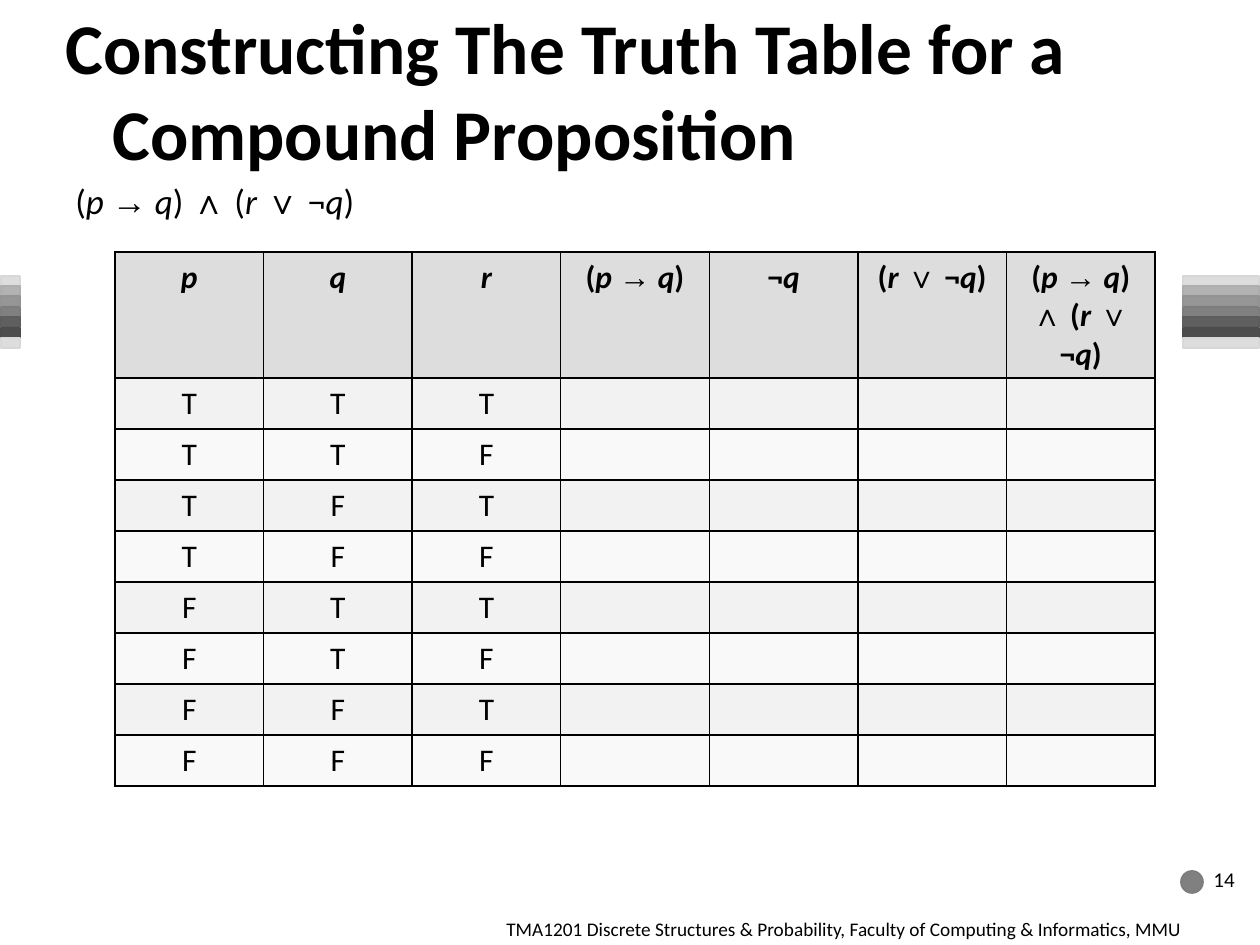
from itertools import groupby, product
from lxml.etree import SubElement as Sub
from pptx import Presentation
from pptx.dml.color import RGBColor as RGB
from pptx.enum.shapes import MSO_SHAPE as Kind
from pptx.enum.text import MSO_ANCHOR as Anchor, PP_ALIGN as Align
from pptx.oxml.ns import qn
from pptx.util import Pt

PX = 914400 / 126
BLACK = RGB(0, 0, 0)
HEAD = RGB(0xDD, 0xDD, 0xDD)
ODD = RGB(0xF2, 0xF2, 0xF2)
EVEN = RGB(0xF9, 0xF9, 0xF9)
GREY = RGB(0x80, 0x80, 0x80)
BANDS = [HEAD, RGB(0xB2, 0xB2, 0xB2), RGB(0x96, 0x96, 0x96), GREY,
         RGB(0x5F, 0x5F, 0x5F), RGB(0x4D, 0x4D, 0x4D), HEAD]

deck = Presentation()
deck.slide_width, deck.slide_height = round(1260 * PX), round(945 * PX)
slide = deck.slides.add_slide(deck.slide_layouts[6])
shapes = slide.shapes


def write(frame, text, size=18, bold=False, math=False,
          align=Align.LEFT, anchor=Anchor.TOP):
    frame.word_wrap = True
    frame.vertical_anchor = anchor
    para = frame.paragraphs[0]
    para.alignment = align
    style = lambda c: (math and c in "pqr", c in "→∧∨")
    for (slant, sign), chars in groupby(text, style):
        run = para.add_run()
        run.text = "".join(chars)
        font = run.font
        font.name = "Arial" if sign else "Calibri"
        font.size, font.bold, font.italic = Pt(size), bold, slant
        font.color.rgb = BLACK
    return para


def draw(kind, tone, *box):
    shape = shapes.add_shape(kind, *(round(n * PX) for n in box))
    shape.shadow.inherit = False
    shape.fill.solid()
    shape.fill.fore_color.rgb = tone
    shape.line.color.rgb = RGB(*(round(n * 0.977) for n in tone))
    shape.line.width = Pt(1)


for left, wide in [(1, 19), (1183, 76)]:
    for i, tone in enumerate(BANDS):
        draw(Kind.RECTANGLE, tone, left, 276 + i * 52 // 5, wide, 10)
draw(Kind.OVAL, GREY, 1181, 871, 22, 22)

texts = [
    ((53, 10, 1134, 158), "Constructing The Truth Table for a Compound Proposition",
     dict(size=40.8, bold=True, anchor=Anchor.MIDDLE)),
    ((494, 911, 766, 34),
     "TMA1201 Discrete Structures & Probability, Faculty of Computing & Informatics, MMU",
     dict(size=11)),
    ((1201, 848, 59, 63), "14", dict(size=12, anchor=Anchor.MIDDLE)),
    ((63, 173, 1134, 224), "(p → q) ∧ (r ∨ ¬q)", dict(size=20, math=True)),
]
for box, text, form in texts:
    area = shapes.add_textbox(*(round(n * PX) for n in box))
    para = write(area.text_frame, text, **form)
    if form.get("bold"):
        props = para._p.get_or_add_pPr()
        props.set("marL", str(round(47 * PX)))
        props.set("indent", str(round(-47 * PX)))

heads = ["p", "q", "r", "(p → q)", "¬q", "(r ∨ ¬q)", "(p → q) ∧ (r ∨ ¬q)"]
rows = [heads] + [[*case, "", "", "", ""] for case in product("TF", repeat=3)]
box = (115, 252, 1040, 459)
table = shapes.add_table(len(rows), len(heads), *(round(n * PX) for n in box)).table
for y, row in enumerate(rows):
    table.rows[y].height = round(51 * PX)
    for x, text in enumerate(row):
        cell = table.cell(y, x)
        write(cell.text_frame, text, bold=y == 0, math=y == 0, align=Align.CENTER)
        props = cell._tc.get_or_add_tcPr()
        for side in ("lnL", "lnR", "lnT", "lnB"):
            edge = Sub(props, qn("a:" + side), w="12700")
            Sub(Sub(edge, qn("a:solidFill")), qn("a:srgbClr"), val=str(BLACK))
        cell.fill.solid()
        cell.fill.fore_color.rgb = HEAD if y == 0 else ODD if y % 2 else EVEN

deck.save("out.pptx")
